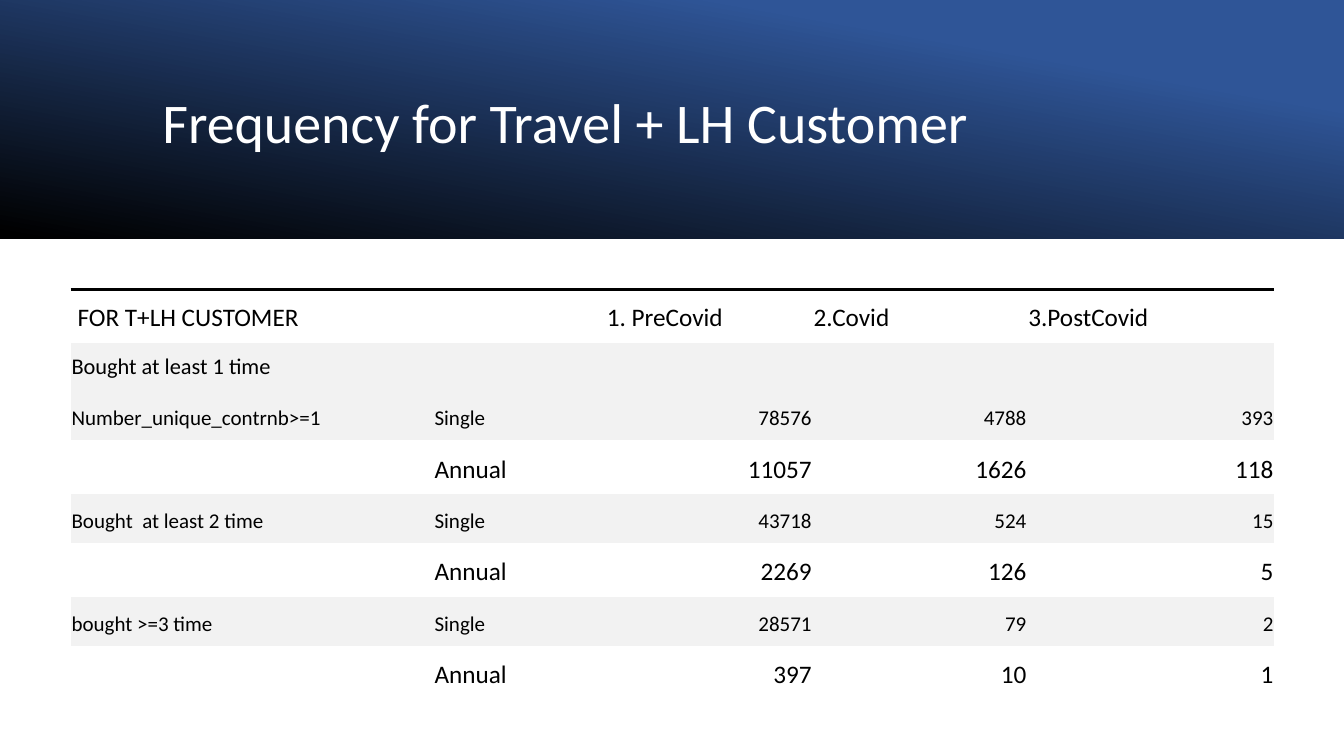
from lxml import etree
from pptx import Presentation
from pptx.dml.color import RGBColor as Rgb
from pptx.enum.shapes import MSO_SHAPE as Shape
from pptx.enum.text import MSO_ANCHOR as Anchor, PP_ALIGN as Align
from pptx.oxml import parse_xml
from pptx.oxml.ns import nsdecls, qn
from pptx.util import Inches, Pt

COLORS = {
    "black": "000000", "white": "FFFFFF", "band": "F2F2F2",
    "blue": "2F5597", "navy": "203864", "light": "4472C4",
}
FONT = "Calibri"
PLAIN = "{2D5ABB26-0587-4C30-8999-92F81FD0307C}"
WIDTHS = [3.6, 1.71, 2.05, 2.13, 2.45]
HEIGHTS = [0.53, 0.97, 0.53, 0.49, 0.53, 0.49, 0.53]
ROWS = [
    ["FOR T+LH CUSTOMER", "", "1. PreCovid", "2.Covid", "3.PostCovid"],
    ["Bought at least 1 time\nNumber_unique_contrnb>=1", "Single",
     "78576", "4788", "393"],
    ["", "Annual", "11057", "1626", "118"],
    ["Bought  at least 2 time", "Single", "43718", "524", "15"],
    ["", "Annual", "2269", "126", "5"],
    ["bought >=3 time", "Single", "28571", "79", "2"],
    ["", "Annual", "397", "10", "1"],
]


def color(name):
    return Rgb.from_string(COLORS[name])


def add_run(para, text, size, tint="black"):
    run = para.add_run()
    run.text = text
    run.font.name = FONT
    run.font.size = Pt(size)
    run.font.color.rgb = color(tint)


def add_band(slide, box, stops, angle, turn=0):
    """Add a mirrored rectangle whose stops are (percent, color, opacity)."""
    band = slide.shapes.add_shape(Shape.RECTANGLE, *map(Inches, box))
    band.shadow.inherit = False
    band.line.fill.background()
    band.rotation = turn
    band.element.spPr.xfrm.set("flipH", "1")
    band.fill.gradient()
    band.fill.gradient_angle = angle
    marks = band.element.spPr.iter(qn("a:srgbClr"))
    for stop, (place, tint, _) in zip(band.fill.gradient_stops, stops):
        stop.position = place / 100
        stop.color.rgb = color(tint)
    for mark, (_, _, alpha) in zip(marks, stops):
        etree.SubElement(mark, qn("a:alpha"), val=str(alpha * 1000))


def add_title(slide, text):
    title = slide.shapes.title
    title.left, title.top = Inches(1.51), Inches(0.38)
    title.width, title.height = Inches(10.63), Inches(1.72)
    title.text_frame.vertical_anchor = Anchor.MIDDLE
    para = title.text_frame.paragraphs[0]
    para.alignment = Align.LEFT
    para.line_spacing = 0.9
    add_run(para, text, 40, "white")
    # Bring the title in front of the bands
    title.element.getparent().append(title.element)


def add_rule(cell):
    """Draw the black line above a cell."""
    line = parse_xml(
        f'<a:lnT {nsdecls("a")} w="{Pt(2.25)}"><a:solidFill>'
        f'<a:srgbClr val="{COLORS["black"]}"/></a:solidFill></a:lnT>')
    cell.fill.background()
    cell._tc.get_or_add_tcPr().insert(0, line)


def fill_cell(cell, text, row, col):
    shaded = row % 2 == 1
    cell.vertical_anchor = Anchor.BOTTOM
    cell.margin_left = Inches(0.07 if row == col == 0 else 0.01)
    cell.margin_right = Inches(0.01)
    cell.margin_top = cell.margin_bottom = Inches(0.09)
    if shaded:
        cell.fill.solid()
        cell.fill.fore_color.rgb = color("band")
    else:
        cell.fill.background()
    if row == 0:
        add_rule(cell)
    if not text:
        return
    lines = text.split("\n")
    for i, line in enumerate(lines):
        frame = cell.text_frame
        para = frame.add_paragraph() if i else frame.paragraphs[0]
        if i:
            para.space_before = Pt(18.3)
        if row and col > 1:
            para.alignment = Align.RIGHT
        lead = len(lines) > 1 and i == 0
        add_run(para, line, 16 if lead else 15 if shaded else 18)


def add_grid(slide):
    frame = slide.shapes.add_table(
        len(ROWS), len(WIDTHS), Inches(0.7), Inches(2.87),
        Inches(sum(WIDTHS)), Inches(sum(HEIGHTS)))
    grid = frame.table
    grid.first_row = grid.horz_banding = False
    frame.element.find(".//" + qn("a:tableStyleId")).text = PLAIN
    for col, width in zip(grid.columns, WIDTHS):
        col.width = Inches(width)
    for r, (height, texts) in enumerate(zip(HEIGHTS, ROWS)):
        grid.rows[r].height = Inches(height)
        for c, text in enumerate(texts):
            fill_cell(grid.cell(r, c), text, r, c)


def main():
    deck = Presentation()
    deck.slide_width, deck.slide_height = Inches(13.33), Inches(7.5)
    slide = deck.slides.add_slide(deck.slide_layouts[5])
    add_band(slide, (0, 0, 13.33, 2.37),
             [(0, "black", 96), (100, "blue", 100)], 30)
    add_band(slide, (8.84, 0, 4.48, 2.37),
             [(19, "navy", 68), (100, "light", 48)], 40)
    add_band(slide, (5.48, -5.48, 2.37, 13.33),
             [(23, "blue", 16), (99, "black", 45)], 10, 270)
    add_title(slide, "Frequency for Travel + LH Customer")
    add_grid(slide)
    deck.save("out.pptx")


if __name__ == "__main__":
    main()
